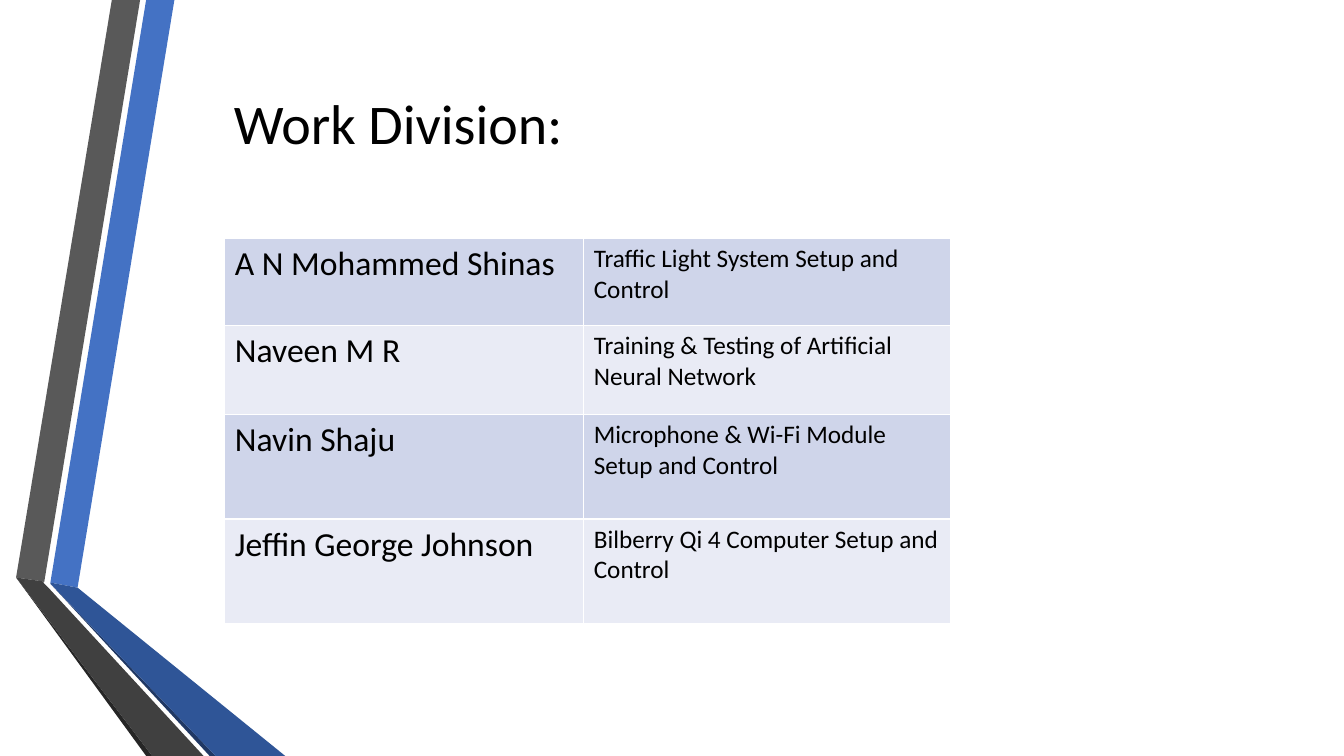
from lxml import etree
from pptx import Presentation
from pptx import util as u
from pptx.dml import color
from pptx.enum import text
from pptx.oxml import ns


def rgb(hex_code):
    return color.RGBColor.from_string(hex_code)


class SlideBuilder:
    font = "Calibri"
    ink = "000000"
    border = "FFFFFF"
    bands = ("CFD5EA", "E9EBF5")

    def __init__(self, slide):
        self.slide = slide

    def style(self, paragraph, size):
        paragraph.font.name = self.font
        paragraph.font.size = u.Pt(size)
        paragraph.font.color.rgb = rgb(self.ink)

    def ribbon(self, fill, points):
        corners = [(u.Inches(x), u.Inches(y)) for x, y in points]
        builder = self.slide.shapes.build_freeform(*corners[0])
        builder.add_line_segments(corners[1:], close=True)
        band = builder.convert_to_shape()
        band.shadow.inherit = False
        band.fill.solid()
        band.fill.fore_color.rgb = rgb(fill)
        band.line.fill.background()

    def title(self, words, left, top, width, height, size):
        heading = self.slide.shapes.add_textbox(
            u.Inches(left), u.Inches(top), u.Inches(width), u.Inches(height))
        frame = heading.text_frame
        frame.word_wrap = True
        frame.vertical_anchor = text.MSO_ANCHOR.MIDDLE
        line = frame.paragraphs[0]
        line.text = words
        line.alignment = text.PP_ALIGN.CENTER
        self.style(line, size)

    def cell_borders(self, cell):
        properties = cell._tc.get_or_add_tcPr()
        for position, side in enumerate(("lnL", "lnR", "lnT", "lnB")):
            edge = etree.Element(ns.qn(f"a:{side}"), w=str(u.Pt(1)))
            solid = etree.SubElement(edge, ns.qn("a:solidFill"))
            etree.SubElement(solid, ns.qn("a:srgbClr"), val=self.border)
            properties.insert(position, edge)

    def table(self, rows, left, top, widths, heights, sizes):
        grid = self.slide.shapes.add_table(
            len(rows), len(widths), u.Inches(left), u.Inches(top),
            u.Inches(sum(widths)), u.Inches(sum(heights))).table
        grid.first_row = False
        for column, width in zip(grid.columns, widths):
            column.width = u.Inches(width)
        for r, (entries, height) in enumerate(zip(rows, heights)):
            grid.rows[r].height = u.Inches(height)
            for c, (entry, size) in enumerate(zip(entries, sizes)):
                cell = grid.cell(r, c)
                cell.text = entry
                cell.fill.solid()
                cell.fill.fore_color.rgb = rgb(self.bands[r % 2])
                self.style(cell.text_frame.paragraphs[0], size)
                self.cell_borders(cell)


# Folded ribbons on the left edge, back to front
RIBBONS = [
    ("4472C4", [(0.5, 5.78), (0.77, 5.83), (1.73, 0), (1.45, 0)]),
    ("595959", [(1.39, 0), (1.11, 0), (0.16, 5.73), (0.44, 5.77)]),
    ("262626", [(0.16, 5.73), (1.45, 7.5), (1.51, 7.5)]),
    ("203864", [(0.5, 5.79), (2.08, 7.5), (2.14, 7.5)]),
    ("2F5597", [(0.5, 5.78), (0.5, 5.79), (2.14, 7.5), (2.83, 7.5), (0.77, 5.83)]),
    ("404040", [(2.02, 7.5), (0.48, 5.83), (0.43, 5.78), (0.44, 5.77),
                (0.16, 5.73), (1.51, 7.5)]),
]

# Team members and their tasks
WORK = [
    ("A N Mohammed Shinas", "Traffic Light System Setup and Control"),
    ("Naveen M R", "Training & Testing of Artificial Neural Network"),
    ("Navin Shaju", "Microphone & Wi-Fi Module Setup and Control"),
    ("Jeffin George Johnson", "Bilberry Qi 4 Computer Setup and Control"),
]


def main():
    deck = Presentation()
    deck.slide_width = u.Inches(13.33)
    deck.slide_height = u.Inches(7.5)
    page = SlideBuilder(deck.slides.add_slide(deck.slide_layouts[6]))

    for fill, points in RIBBONS:
        page.ribbon(fill, points)
    page.title("Work Division:", -1.53, 0.25, 10.96, 1.92, size=40)
    page.table(WORK, 2.23, 2.37, widths=(3.56, 3.64),
               heights=(0.86, 0.88, 1.04, 1.04), sizes=(24, 18))

    deck.save("out.pptx")


if __name__ == "__main__":
    main()
